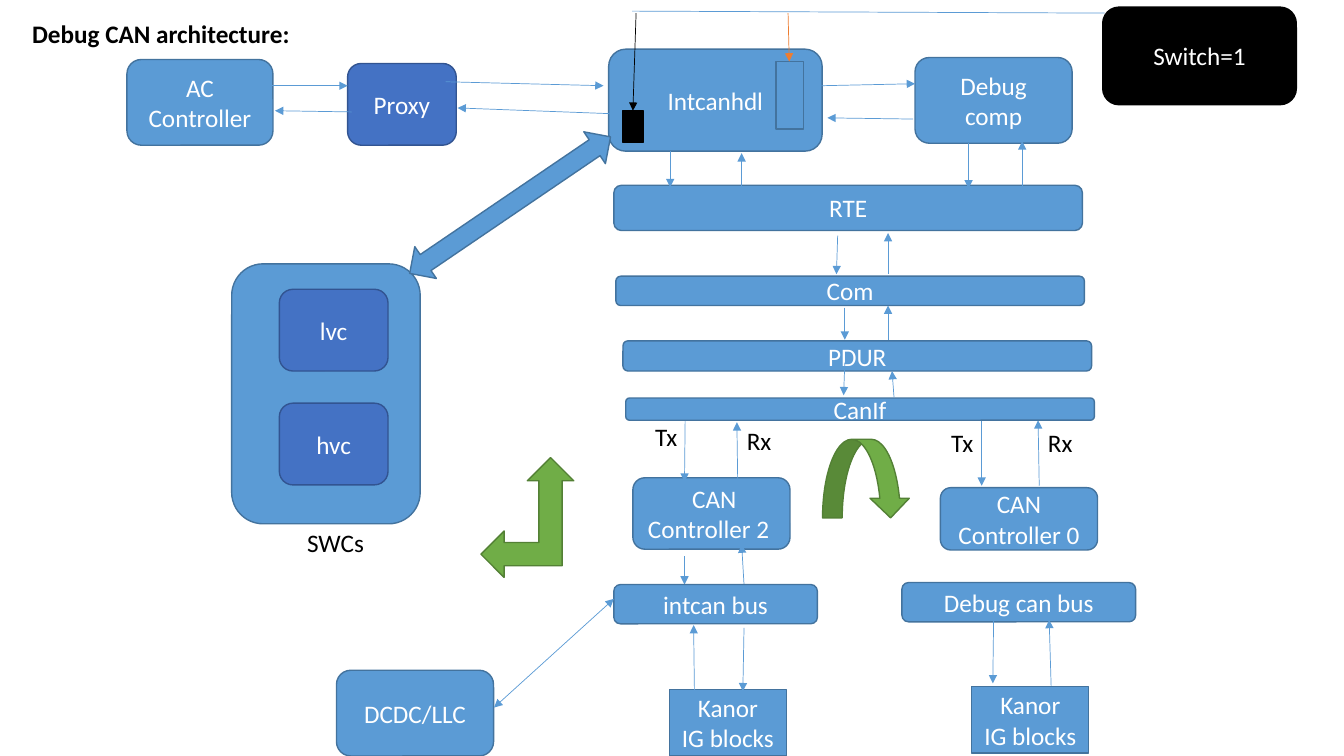
from dataclasses import dataclass
from typing import NamedTuple

from lxml import etree
from pptx import Presentation
from pptx import util as u
from pptx.dml.color import RGBColor
from pptx.enum import shapes, text
from pptx.oxml.ns import qn

FONT = "Calibri"
TEXT_SIZE = 18
SHAPE = shapes.MSO_SHAPE


class Palette(NamedTuple):
    fill: str
    line: str


BLUE = Palette("5B9BD5", "43739E")
INDIGO = Palette("4472C4", "325491")
GREEN = Palette("70AD47", "538035")
BLACK = Palette("000000", "000000")
ORANGE = "ED7D31"


@dataclass
class Box:
    left: float
    top: float
    width: float
    height: float
    label: str = ""
    palette: Palette = BLUE
    preset: SHAPE = SHAPE.ROUNDED_RECTANGLE
    rotation: float = 0


@dataclass
class Label:
    left: float
    top: float
    width: float
    wording: str
    bold: bool = False


@dataclass
class Arrow:
    x1: float
    y1: float
    x2: float
    y2: float
    color: str = BLUE.fill
    ends: tuple[str, ...] = ("tailEnd",)


# Sizes shared by several boxes, in centimetres
LAYER_WIDTH = 11.81
UNIT_WIDTH, UNIT_HEIGHT = 3.96, 2.16
PART_SIZE = (2.74, 2.06)
BLOCK_SIZE = (2.95, 1.68)
BUS_HEIGHT = 0.99
LABEL_HEIGHT = 1.02

BACK_BOXES = [
    Box(5.84, 6.65, 4.75, 6.55),
    Box(15.34, 1.24, 5.38, 2.57, "Intcanhdl"),
    Box(15.95, 12.04, UNIT_WIDTH, 1.8, " CAN\nController 2 "),
    Box(23.06, 1.45, UNIT_WIDTH, UNIT_HEIGHT, "Debug comp"),
    Box(15.52, 6.96, LAYER_WIDTH, 0.74, "Com"),
    Box(23.7, 12.29, UNIT_WIDTH, 1.57, "CAN Controller 0"),
    Box(15.47, 4.67, LAYER_WIDTH, 1.14, "RTE"),
    Box(22.73, 14.68, 5.89, BUS_HEIGHT, "Debug can bus"),
]

BACK_ARROWS = [
    # CanIf, CAN controllers and buses
    Arrow(17.27, 10.24, 17.25, 12.14),
    Arrow(18.59, 12.07, 18.57, 10.64),
    Arrow(26.19, 12.24, 26.16, 10.59),
    Arrow(24.74, 10.26, 24.74, 12.24),
    Arrow(17.25, 14.02, 17.25, 14.73),
    Arrow(18.75, 14.73, 18.69, 13.72),
    Arrow(25.04, 15.62, 25.02, 17.22),
    Arrow(26.49, 17.3, 26.44, 15.62),
    # Components and RTE
    Arrow(24.41, 3.61, 24.41, 4.75),
    Arrow(16.89, 3.81, 16.89, 4.72),
    Arrow(18.69, 4.88, 18.69, 3.86),
    Arrow(25.76, 4.72, 25.76, 3.56),
    # RTE, Com and PDUR
    Arrow(21.11, 5.94, 21.08, 6.91),
    Arrow(22.38, 6.91, 22.38, 5.87),
    Arrow(21.29, 7.75, 21.29, 8.56),
    Arrow(22.38, 8.69, 22.38, 7.7),
    Arrow(20.7, 2.16, 23.06, 2.11),
]

FRONT_BOXES = [
    Box(27.79, 0.18, 4.88, 2.46, "Switch=1", BLACK),
    Box(24.49, 17.3, *BLOCK_SIZE, "Kanor\nIG blocks", preset=SHAPE.RECTANGLE),
    Box(7.04, 7.29, *PART_SIZE, "lvc", INDIGO),
    Box(7.04, 10.16, *PART_SIZE, "hvc", INDIGO),
    Box(8.76, 1.6, *PART_SIZE, "Proxy", INDIGO),
    Box(12.37, 2.11, 0.97, 6.12, preset=SHAPE.UP_DOWN_ARROW, rotation=55.8),
    Box(15.7, 2.79, 0.51, 0.81, palette=BLACK, preset=SHAPE.RECTANGLE),
    Box(19.56, 1.55, 0.69, 1.7, preset=SHAPE.RECTANGLE),
    Box(8.48, 16.89, UNIT_WIDTH, UNIT_HEIGHT, "DCDC/LLC"),
    Box(12.12, 11.53, 2.34, 3.02, palette=GREEN, preset=SHAPE.LEFT_UP_ARROW),
    Box(20.73, 11.07, 2.21, 1.98, palette=GREEN, preset=SHAPE.CURVED_DOWN_ARROW),
    Box(3.2, 1.5, 3.68, UNIT_HEIGHT, "AC Controller"),
    Box(15.47, 14.73, 5.13, BUS_HEIGHT, "intcan bus"),
    Box(15.7, 8.59, LAYER_WIDTH, 0.76, "PDUR"),
    Box(15.77, 10.03, LAYER_WIDTH, 0.56, "CanIf"),
    Box(16.87, 17.37, *BLOCK_SIZE, "Kanor\nIG blocks", preset=SHAPE.RECTANGLE),
]

FRONT_ARROWS = [
    # Switch wiring
    Arrow(27.84, 0.33, 15.93, 0.28, ends=()),
    Arrow(16.03, 0.33, 15.95, 2.79, BLACK.line),
    Arrow(19.86, 0.33, 19.89, 1.55, ORANGE),
    # AC Controller, Proxy, Intcanhdl and Debug comp
    Arrow(6.78, 2.16, 8.76, 2.16),
    Arrow(8.86, 2.82, 6.93, 2.79),
    Arrow(11.23, 2.06, 15.21, 2.16),
    Arrow(15.54, 2.87, 11.53, 2.72),
    Arrow(23.01, 3, 20.85, 2.97),
    # PDUR and CanIf
    Arrow(21.29, 9.14, 21.26, 9.96),
    Arrow(22.53, 10.01, 22.48, 9.35),
    # intcan bus and its neighbours
    Arrow(12.45, 17.83, 15.47, 15.09, ends=("headEnd", "tailEnd")),
    Arrow(18.75, 15.82, 18.72, 17.42),
    Arrow(17.5, 17.42, 17.48, 15.75),
]

LABELS = [
    Label(0.56, 0.33, 8.23, "Debug CAN architecture:", True),
    Label(16.26, 10.49, 1.22, "Tx"),
    Label(18.57, 10.59, 1.35, "Rx"),
    Label(23.72, 10.64, 1.22, "Tx"),
    Label(26.16, 10.64, 1.42, "Rx"),
    Label(7.49, 13.16, 4.19, "SWCs"),
]


def rgb(color: str) -> RGBColor:
    return RGBColor.from_string(color)


def write_text(shape, wording: str, color: str, alignment, bold: bool = False) -> None:
    frame = shape.text_frame
    frame.word_wrap = True
    font_format = {"name": FONT, "size": u.Pt(TEXT_SIZE), "bold": bold}
    frame.text = wording
    for paragraph in frame.paragraphs:
        paragraph.alignment = alignment
        for run in paragraph.runs:
            for attribute, value in font_format.items():
                setattr(run.font, attribute, value)
            run.font.color.rgb = rgb(color)


def draw_box(slide, box: Box) -> None:
    frame = (u.Cm(n) for n in (box.left, box.top, box.width, box.height))
    shape = slide.shapes.add_shape(box.preset, *frame)
    shape.shadow.inherit = False
    shape.rotation = box.rotation
    shape.fill.solid()
    shape.fill.fore_color.rgb = rgb(box.palette.fill)
    shape.line.color.rgb = rgb(box.palette.line)
    shape.line.width = u.Pt(1)
    if box.label:
        shape.text_frame.vertical_anchor = text.MSO_ANCHOR.MIDDLE
        write_text(shape, box.label, "FFFFFF", text.PP_ALIGN.CENTER)


def draw_arrow(slide, arrow: Arrow) -> None:
    points = (u.Cm(n) for n in (arrow.x1, arrow.y1, arrow.x2, arrow.y2))
    connector = slide.shapes.add_connector(shapes.MSO_CONNECTOR.STRAIGHT, *points)
    connector.line.color.rgb = rgb(arrow.color)
    connector.line.width = u.Pt(0.5)
    line = connector.line._get_or_add_ln()
    for end in arrow.ends:
        etree.SubElement(line, qn(f"a:{end}"), type="triangle")
    etree.SubElement(connector._element.spPr, qn("a:effectLst"))


def draw_label(slide, label: Label) -> None:
    frame = (u.Cm(n) for n in (label.left, label.top, label.width, LABEL_HEIGHT))
    shape = slide.shapes.add_textbox(*frame)
    write_text(shape, label.wording, "000000", text.PP_ALIGN.LEFT, label.bold)


def main() -> None:
    presentation = Presentation()
    presentation.slide_width, presentation.slide_height = u.Cm(33.87), u.Cm(19.05)
    slide = presentation.slides.add_slide(presentation.slide_layouts[6])

    # Back to front
    layers = [
        (draw_box, BACK_BOXES),
        (draw_arrow, BACK_ARROWS),
        (draw_box, FRONT_BOXES),
        (draw_arrow, FRONT_ARROWS),
        (draw_label, LABELS),
    ]
    for draw, items in layers:
        for item in items:
            draw(slide, item)
    presentation.save("out.pptx")


if __name__ == "__main__":
    main()
